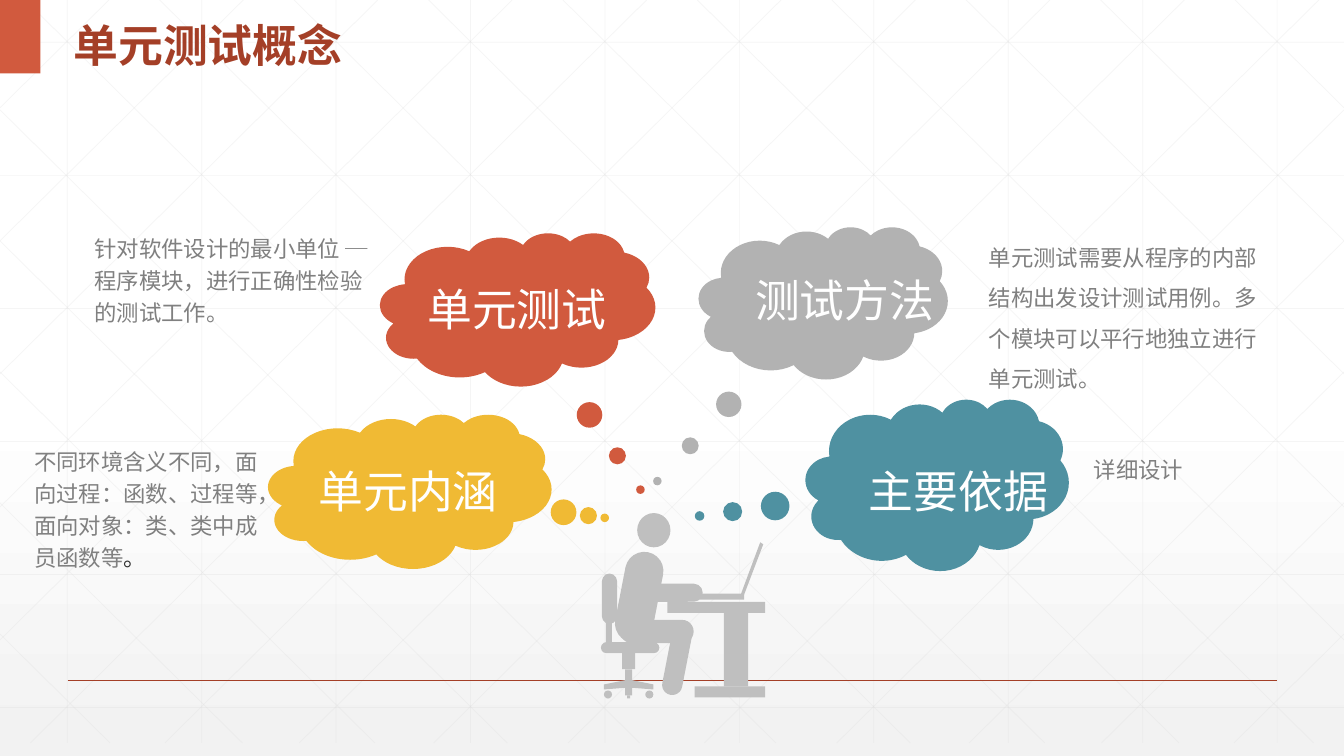
import dataclasses

import lxml.etree
import pptx
import pptx.dml.color
import pptx.enum.shapes
import pptx.enum.text
import pptx.oxml.ns
import pptx.util

Inches = pptx.util.Inches
Shape = pptx.enum.shapes.MSO_SHAPE
qn = pptx.oxml.ns.qn


@dataclasses.dataclass
class Theme:
    red: str = "D15A3E"
    dark_red: str = "A43F27"
    yellow: str = "F0BA34"
    grey: str = "B2B2B2"
    teal: str = "4F91A1"
    person: str = "BFBFBF"
    grid: str = "D9D9D9"
    body: str = "808080"
    ink: str = "2D2E2D"
    white: str = "FFFFFF"
    floor: str = "F2F2F2"
    latin: str = "Arial"
    chinese: str = "Noto Sans CJK SC"
    large: int = 32
    small: int = 16


theme = Theme()
rgb = pptx.dml.color.RGBColor.from_string


def draw_line(parent, start, end, color, width, opacity=100):
    line = parent.shapes.add_connector(
        pptx.enum.shapes.MSO_CONNECTOR.STRAIGHT, *map(Inches, start + end))
    line.line.color.rgb = rgb(color)
    line.line.width = pptx.util.Pt(width)
    properties = line._element.spPr
    tint = properties.find(".//" + qn("a:srgbClr"))
    lxml.etree.SubElement(tint, qn("a:alpha"), val=str(opacity * 1000))
    lxml.etree.SubElement(properties, qn("a:effectLst"))


def write_text(parent, place, spans, size, spacing=1.0, wrap=True, bold=False):
    box = parent.shapes.add_textbox(*map(Inches, place))
    frame = box.text_frame
    frame.word_wrap = wrap
    para = frame.paragraphs[0]
    para.line_spacing = spacing
    for text, color, face in spans:
        span = para.add_run()
        span.text = text
        font_format = {"name": face, "size": pptx.util.Pt(size), "bold": bold}
        for name, value in font_format.items():
            setattr(span.font, name, value)
        span.font.color.rgb = rgb(color)
        lxml.etree.SubElement(span._r.get_or_add_rPr(), qn("a:ea"), typeface=theme.chinese)
    return frame


deck = pptx.Presentation()
deck.slide_width, deck.slide_height = Inches(13.33), Inches(7.5)
page = deck.slides.add_slide(deck.slide_layouts[6])
painted = []

# Background fading to light grey at the foot
backdrop = page.background.fill
backdrop.gradient()
backdrop.gradient_angle = 270
for stop, position, color in zip(backdrop.gradient_stops, (0.53, 1), (theme.white, theme.floor)):
    stop.position = position
    stop.color.rgb = rgb(color)

# Faint grid: verticals, horizontals, then diagonals in both directions
right, bottom, step, slope = 13.33, 7.37, 4 / 3, 0.99
grid_lines = [((x, 0), (x, bottom)) for x in (step * (i + 0.5) for i in range(10))]
grid_lines += [((0, y), (right, y)) for y in (0.42 + step * slope * i for i in range(6))]
starts = [(0.25 + step * i, 0) for i in range(10)] + [(0, 1.09 + 1.3 * i) for i in range(5)]
for x, y in starts:
    run = min(right - x, (bottom - y) / slope)
    end_x, end_y = x + run, y + run * slope
    grid_lines += [((x, y), (end_x, end_y)), ((right - x, y), (right - end_x, end_y))]
grid = page.shapes.add_group_shape()
for start, end in grid_lines:
    draw_line(grid, start, end, theme.grid, 0.5, opacity=25)

# Ground line, corner block and title
draw_line(page, (0.67, 6.75), (12.67, 6.75), theme.dark_red, 1)
corner = page.shapes.add_shape(Shape.RECTANGLE, 0, 0, Inches(0.4), Inches(0.73))
painted.append((corner, theme.red))
title = write_text(page, (0.63, 0, 5.69, 0.73), [("单元测试概念", theme.dark_red, theme.latin)],
                   theme.large, spacing=1.3, bold=True)
title.vertical_anchor = pptx.enum.text.MSO_ANCHOR.MIDDLE

# Person at a desk: preset parts by kind, with place and tilt
person = page.shapes.add_group_shape()
person_parts = {
    Shape.OVAL: [
        (6.32, 5.09, 0.33, 0.34, 0),  # head
        (5.99, 6.85, 0.08, 0.08, 0), (6.4, 6.85, 0.08, 0.08, 0),  # casters
    ],
    Shape.ROUNDED_RECTANGLE: [
        (6.15, 5.47, 0.38, 0.91, 11), (6.4, 5.79, 0.57, 0.18, 0),  # torso, arm
        (6.15, 6.15, 0.73, 0.23, 0), (6.62, 6.15, 0.2, 0.75, 11),  # thigh, shin
        (5.97, 5.69, 0.15, 0.5, 0), (5.96, 6.37, 0.58, 0.11, 0),  # chair back, seat
    ],
    Shape.RECTANGLE: [
        (6.01, 6.15, 0.06, 0.25, 0), (6.17, 6.48, 0.13, 0.16, 0),  # chair post, stem
        (6.2, 6.64, 0.07, 0.26, 0), (6.22, 6.9, 0.03, 0.03, 0),  # column, middle caster
        (6.93, 5.89, 0.45, 0.06, 0), (6.62, 5.97, 0.97, 0.11, 0),  # keyboard, desk top
        (7.18, 6.08, 0.24, 0.73, 0), (6.89, 6.81, 0.7, 0.11, 0),  # desk leg, desk foot
    ],
}
for kind, places in person_parts.items():
    for *place, tilt in places:
        part = person.shapes.add_shape(kind, *map(Inches, place))
        part.rotation = tilt
        if kind == Shape.ROUNDED_RECTANGLE:
            part.adjustments[0] = 0.5
        painted.append((part, theme.person))
screen = [(7.35, 5.89), (7.54, 5.38), (7.57, 5.4), (7.38, 5.9)]
left_foot = [(6.24, 6.74), (5.99, 6.79), (5.99, 6.84), (6.24, 6.82)]
right_foot = [(2 * 6.235 - x, y) for x, y in left_foot]
for outline in (screen, left_foot, right_foot):
    corners = [tuple(map(Inches, point)) for point in outline]
    pen = person.shapes.build_freeform(*corners[0])
    pen.add_line_segments(corners[1:], close=True)
    painted.append((pen.convert_to_shape(), theme.person))

# Thought clouds: label, colour, place, tail, label corner
clouds = [
    ("单元测试", theme.red, (3.77, 2.31, 2.73, 1.52), (0.446, 1.176), (4.14, 2.75)),
    ("单元内涵", theme.yellow, (2.66, 4.11, 2.81, 1.53), (0.688, 0.172), (3.06, 4.55)),
    ("测试方法", theme.grey, (6.93, 2.25, 2.47, 1.51), (-0.666, 1.171), (7.39, 2.66)),
    ("主要依据", theme.teal, (7.99, 3.96, 2.61, 1.7), (-0.903, 0.182), (8.52, 4.55)),
]
for label, color, place, tail, label_corner in clouds:
    thought = page.shapes.add_group_shape()
    cloud = thought.shapes.add_shape(Shape.CLOUD_CALLOUT, *map(Inches, place))
    cloud.adjustments[0], cloud.adjustments[1] = tail
    painted.append((cloud, color))
    write_text(thought, label_corner + (2, 0.64), [(label, theme.white, theme.chinese)],
               theme.large, wrap=False)

# Flat fills without outline or shadow
for shape, color in painted:
    shape.shadow.inherit = False
    shape.fill.solid()
    shape.fill.fore_color.rgb = rgb(color)
    shape.line.fill.background()

# Explanations beside the clouds
notes = [
    ((0.24, 4.34, 2.58, 1.37), 1.2,
     "不同环境含义不同，面向过程：函数、过程等，面向对象：类、类中成员函数等", "。"),
    ((0.84, 2.23, 3.05, 1.07), 1.2,
     "针对软件设计的最小单位 ─ 程序模块，进行正确性检验的测试工作。", ""),
    ((9.71, 2.24, 3.02, 1.72), 1.5,
     "单元测试需要从程序的内部结构出发设计测试用例。多个模块可以平行地独立进行单元测试。", ""),
    ((10.75, 4.34, 2.58, 0.46), 1.5, "详细设计", ""),
]
for place, spacing, text, ending in notes:
    spans = [(text, theme.body, theme.chinese)]
    if ending:
        spans.append((ending, theme.ink, theme.latin))
    write_text(page, place, spans, theme.small, spacing)

deck.save("out.pptx")
